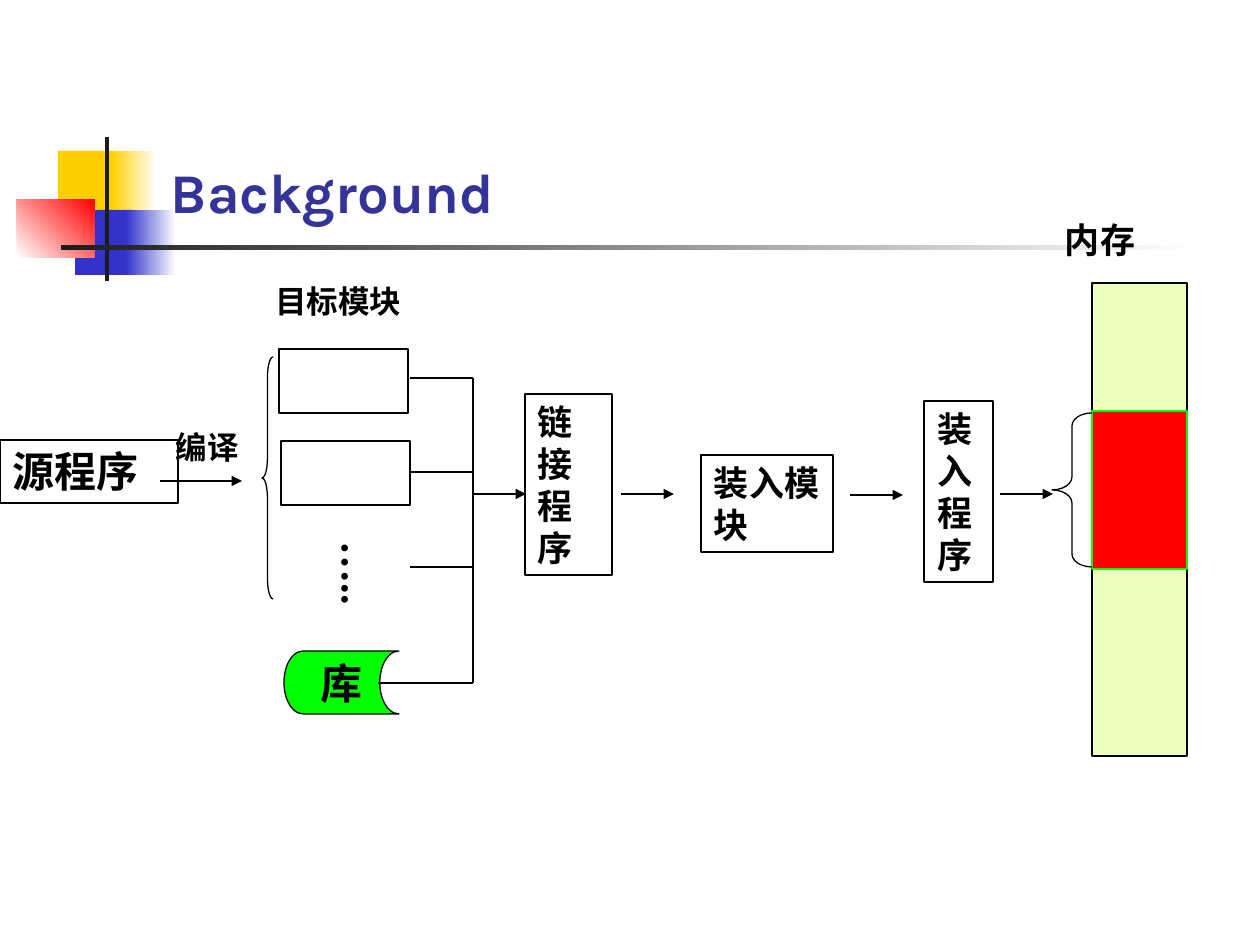
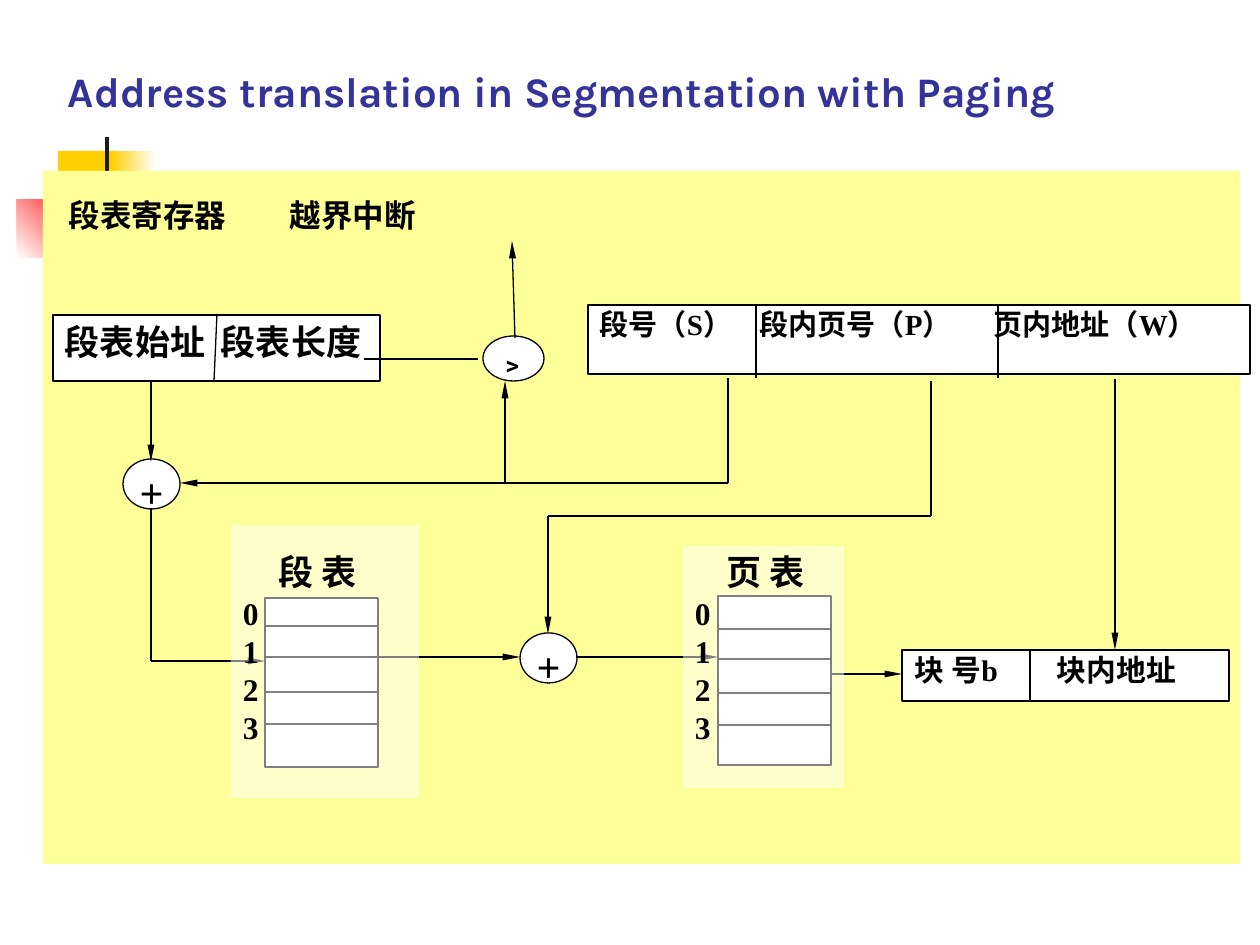
from lxml import etree
from pptx import Presentation, util as u
from pptx.dml.color import RGBColor
from pptx.enum import lang, shapes, text as tx
from pptx.oxml import ns

PX = 914400 / 126
HUES = {
    "black": "000000", "white": "FFFFFF", "ink": "1C1C1C", "title": "333399",
    "gold": "FFCF01", "blue": "3333CC", "red": "FF0000", "green": "00FF00",
    "lime": "ECFEBE", "cream": "FFFF99",
}
KIND = shapes.MSO_SHAPE
ALIGN, ANCHOR = tx.PP_ALIGN, tx.MSO_ANCHOR
SANS, SERIF, HAN, HEAD = "Arial Narrow", "Times New Roman", "Noto Sans CJK SC", "Karla"


def px(*sizes):
    return [u.Emu(round(size * PX)) for size in sizes]


def hue(name):
    return RGBColor.from_string(HUES[name])


def sub(node, tag, **attrs):
    return etree.SubElement(node, ns.qn(tag), **attrs)


# Text
def write(shape, words, size=20, font=SANS, color="black", align=ALIGN.LEFT,
          anchor=ANCHOR.TOP, pad=(13, 6), wrap=True, lead=None, vert=None):
    """Put words, one paragraph a line, into a shape."""
    frame = shape.text_frame
    frame.word_wrap, frame.vertical_anchor = wrap, anchor
    frame.margin_left, frame.margin_top = frame.margin_right, frame.margin_bottom = px(*pad)
    if vert:
        frame._txBody.bodyPr.set("vert", vert)
    for i, line in enumerate(words.split("\n")):
        para = frame.paragraphs[0] if i == 0 else frame.add_paragraph()
        para.alignment = align
        if lead:
            para.line_spacing = lead
        run = para.add_run()
        run.text = line
        run.font.name, run.font.size, run.font.bold = font, u.Pt(size), True
        run.font.color.rgb = hue(color)
        run.font.language_id = lang.MSO_LANGUAGE_ID.SIMPLIFIED_CHINESE
        # Chinese characters stay sans serif beside serif Latin letters
        sub(run._r.get_or_add_rPr(), "a:ea", typeface=SANS if font == SERIF else font)
    return shape


def label(sl, words, x, y, w, h, **fmt):
    return write(sl.shapes.add_textbox(*px(x, y, w, h)), words, **fmt)


def tag(sl, words, x, mid, **fmt):
    """A one-line label that starts at x and is centred on mid."""
    fmt = {"font": SERIF, "pad": (0, 0), "anchor": ANCHOR.MIDDLE, **fmt}
    return label(sl, words, x, mid - 25, 250, 50, **fmt)


# Shapes and lines
def box(sl, x, y, w, h, fill=None, line="black", kind=KIND.RECTANGLE, alpha=None):
    shape = sl.shapes.add_shape(kind, *px(x, y, w, h))
    shape.shadow.inherit = False
    if fill:
        shape.fill.solid()
        shape.fill.fore_color.rgb = hue(fill)
        if alpha:
            sub(shape._element.spPr.find(".//" + ns.qn("a:srgbClr")), "a:alpha",
                val=str(alpha * 1000))
    else:
        shape.fill.background()
    if line:
        shape.line.color.rgb, shape.line.width = hue(line), u.Pt(0.75)
    else:
        shape.line.fill.background()
    return shape


def fade(sl, x, y, w, h, start, end, angle=0):
    shape = box(sl, x, y, w, h, line=None)
    shape.fill.gradient()
    shape.fill.gradient_angle = angle
    for stop, name in zip(shape.fill.gradient_stops, (start, end)):
        stop.color.rgb = hue(name)


def brace(sl, x, y, w, h, curve):
    box(sl, x, y, w, h, kind=KIND.LEFT_BRACE).adjustments[0] = curve / w


def line(sl, *points, head=None):
    """Join the points; head gives the width and length of the end arrow."""
    for start, end in zip(points, points[1:]):
        part = sl.shapes.add_connector(shapes.MSO_CONNECTOR.STRAIGHT, *px(*start, *end))
        part.line.color.rgb, part.line.width = hue("black"), u.Pt(0.75)
        sub(part._element.spPr, "a:effectLst")
    if head:
        sub(part.line._get_or_add_ln(), "a:tailEnd", type="triangle", w=head[0], len=head[1])


WIDE, SLIM = ("med", "med"), ("sm", "lg")


# Shared parts
def decor(sl, full=True):
    """The corner blocks; full adds the blue block and the title rule."""
    box(sl, 58, 151, 60, 66, "gold", None)
    fade(sl, 111, 151, 45, 66, "gold", "white")
    if full:
        box(sl, 75, 210, 58, 65, "blue", None)
        fade(sl, 126, 210, 50, 65, "blue", "white")
    fade(sl, 17, 199, 78, 59, "white", "red", 45)
    box(sl, 105, 137, 4, 144, "ink", None)
    if full:
        fade(sl, 61, 245, 1134, 5, "ink", "white")


def title(sl, words, x, y, h, **fmt):
    label(sl, words, x, y, 1074, h, font=HEAD, color="title", anchor=ANCHOR.BOTTOM, **fmt)


# Slide 1: from source program to memory
def load(sl):
    decor(sl)
    title(sl, "Background", 158, 29, 202, size=32)

    # Compiling into object modules
    write(box(sl, 0, 440, 178, 63), "源程序", size=24)
    box(sl, 279, 349, 129, 64)
    box(sl, 281, 441, 129, 64)
    line(sl, (160, 481), (242, 481), head=WIDE)
    brace(sl, 262, 357, 11, 242, 20)
    label(sl, "编译", 163, 422, 149, 50, size=18)
    label(sl, "目标模块", 262, 276, 210, 50, size=18)
    label(sl, "…..", 314, 529, 76, 74, size=24, font=SERIF, pad=(6, 13),
          wrap=False, vert="eaVert")
    write(box(sl, 284, 651, 115, 63, "green", kind=KIND.FLOWCHART_STORED_DATA), "库",
          size=24, align=ALIGN.CENTER, anchor=ANCHOR.MIDDLE, wrap=False)

    # Joining the modules
    for y in (378, 472, 567):
        line(sl, (410, y), (473, y))
    line(sl, (378, 683), (473, 683), (473, 378))

    # Linking and loading
    for words, *place in (("链接\n程序", 525, 394, 87, 181),
                          ("装入模块", 701, 455, 132, 97),
                          ("装入\n程序", 924, 401, 69, 181)):
        write(box(sl, *place), words)
    for x, y in ((473, 494), (621, 494), (850, 495), (1000, 494)):
        line(sl, (x, y), (x + 53, y), head=WIDE)

    # Memory
    box(sl, 1092, 283, 95, 473, "lime")
    box(sl, 1092, 411, 95, 158, "red", "green")
    brace(sl, 1052, 413, 40, 154, 13)
    label(sl, "内存", 1052, 212, 118, 55)


# Slide 2: address translation
def node(sl, sign, x, y, w=57, h=50, **fmt):
    shape = box(sl, x, y, w, h, "white", kind=KIND.OVAL)
    write(shape, sign, align=ALIGN.CENTER, pad=(0, 0), wrap=False, **fmt)


def fields(sl, place, mid, size, names, cuts):
    """A register: a box, its dividers and a name for each field."""
    box(sl, *place, "white")
    for cut in cuts:
        line(sl, *cut)
    for x, name in names:
        tag(sl, name, x, mid, size=size)


def grid(sl, x, y, w, h, rows):
    box(sl, x, y, w, h, "white")
    for row in rows:
        line(sl, (x, row), (x + w, row))


def veil(sl, name, x, y, w, h, left):
    """A pale panel over a grid, with its name and row numbers."""
    box(sl, x, y, w, h, "white", None, alpha=50)
    tag(sl, name, left, 572)
    label(sl, "0\n1\n2\n3", x + 12, 594, 25, 152, size=18, font=SERIF,
          pad=(0, 0), lead=u.Pt(21.7))


def trace(sl):
    decor(sl, full=False)
    title(sl, "Address translation in Segmentation with Paging", 55, 63, 59,
          size=24, lead=1.5)
    box(sl, 43, 171, 1197, 693, "cream", None)
    for x, name in ((69, "段表寄存器"), (290, "越界中断")):
        tag(sl, name, x, 215, size=18, font=HAN)

    # Registers
    fields(sl, (53, 315, 327, 66), 342, 20, ((65, "段表始址"), (221, "段表长度")),
           [((217, 314), (214, 382))])
    fields(sl, (588, 305, 662, 69), 324, 16.6,
           ((600, "段号（S）"), (760, "段内页号（P）"), (994, "页内地址（W）")),
           [((x, 305), (x, 378)) for x in (756, 998)])
    fields(sl, (902, 650, 327, 51), 670, 17, ((915, "块 号b"), (1057, "块内地址")),
           [((1030, 650), (1030, 701))])

    # Adders, comparison and tables
    node(sl, "+", 123, 459, size=24, font=SERIF)
    node(sl, "+", 520, 633, size=24, font=SERIF)
    node(sl, "﹥", 483, 336, 61, 45, size=18, font=HAN)
    grid(sl, 265, 598, 113, 169, (626, 657, 692, 724))
    grid(sl, 718, 596, 113, 169, (629, 659, 693, 725))

    # Routes
    line(sl, (364, 359), (478, 359))
    for route in (
        [(151, 381), (151, 462)],
        [(728, 378), (728, 483), (180, 483)],
        [(505, 483), (505, 381)],
        [(515, 338), (512, 241)],
        [(151, 508), (151, 661), (265, 661)],
        [(378, 657), (520, 657)],
        [(931, 381), (931, 516), (548, 516), (548, 634)],
        [(576, 657), (718, 657)],
        [(1115, 379), (1115, 650)],
        [(832, 674), (902, 674)],
    ):
        line(sl, *route, head=SLIM)

    veil(sl, "段 表", 231, 525, 188, 273, 279)
    veil(sl, "页 表", 683, 546, 161, 242, 727)


def main():
    deck = Presentation()
    deck.slide_width, deck.slide_height = px(1260, 945)
    for build in (load, trace):
        build(deck.slides.add_slide(deck.slide_layouts[6]))
    deck.save("out.pptx")


if __name__ == "__main__":
    main()
